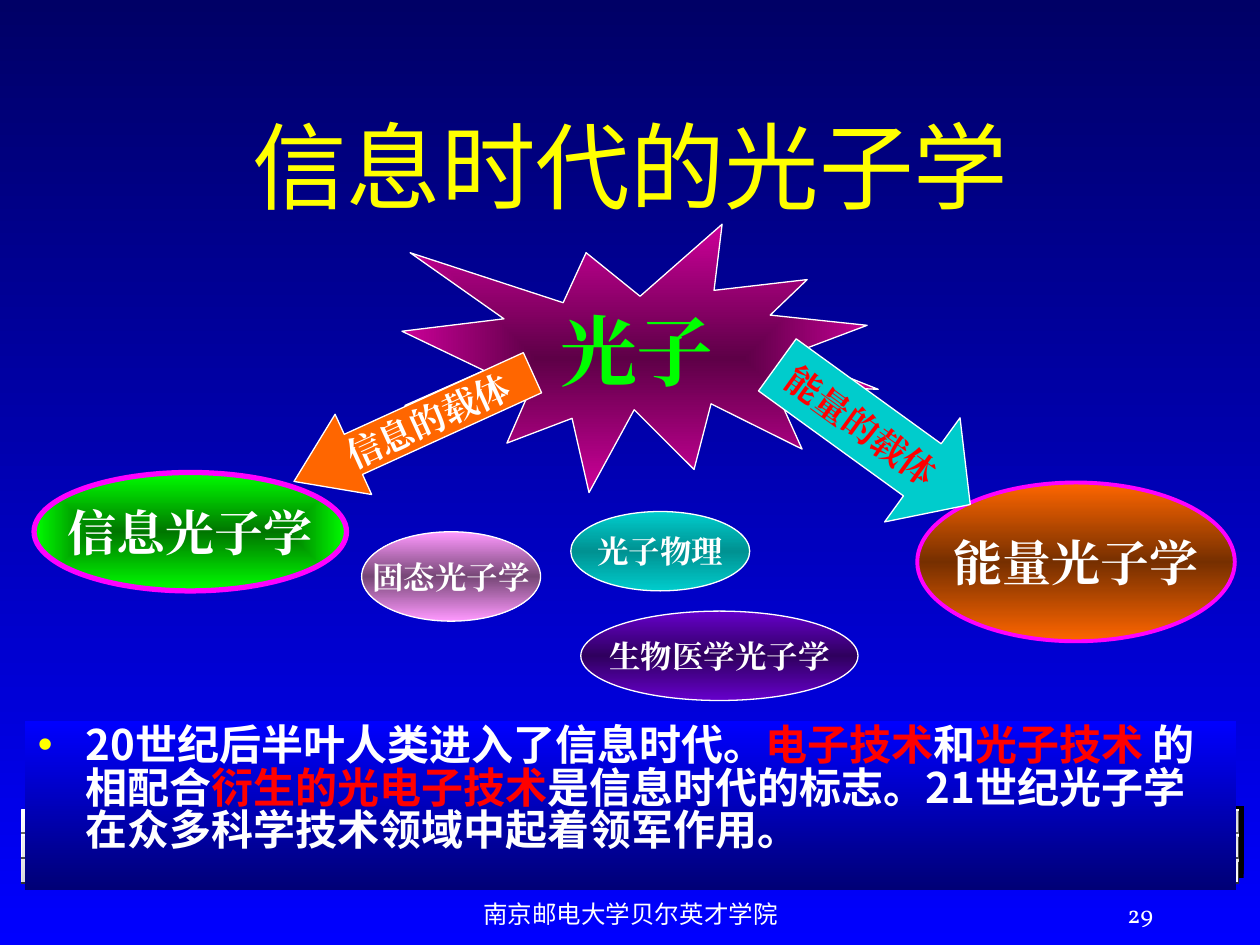
from dataclasses import dataclass

from lxml import etree
from pptx import Presentation
from pptx import util as u
from pptx.dml.color import RGBColor
from pptx.enum import shapes, text
from pptx.oxml import parse_xml
from pptx.oxml.ns import nsdecls, qn

EMU_PER_PX = 9144  # 100 px to the inch
SHAPE = shapes.MSO_SHAPE
ALIGN = text.PP_ALIGN


@dataclass(frozen=True)
class Theme:
    white: str = "FFFFFF"
    yellow: str = "FFFF00"
    red: str = "FF0000"
    green: str = "00FF00"
    magenta: str = "FF00FF"
    orange: str = "FF6600"
    teal: str = "00CCCC"
    navy: str = "000076"
    blue: str = "0000FF"
    title_font: str = "Noto Sans CJK JP"
    body_font: str = "Noto Sans CJK SC"
    label_font: str = "Times New Roman"
    footer_font: str = "Vollkorn"
    title_size: int = 54
    star_size: int = 44
    branch_size: int = 28
    body_size: int = 24
    arrow_size: int = 20
    field_size: int = 18
    footer_size: int = 14


def px(value):
    return u.Emu(value * EMU_PER_PX)


def mirrored(edge, middle):
    return [(0, edge), (50, middle), (100, edge)]


class SlideBuilder:
    def __init__(self, slide, theme):
        self.slide, self.theme = slide, theme

    def gradient(self, fill, properties, stops, angle=None):
        """Linear at the given angle, or from the centre out without one."""
        fill.gradient()
        stop_xml = "".join(
            f'<a:gs pos="{place * 1000}"><a:srgbClr val="{color}"/></a:gs>'
            for place, color in stops)
        if angle is None:
            direction = ('<a:path path="shape"><a:fillToRect l="50000" t="50000" '
                         'r="50000" b="50000"/></a:path>')
        else:
            direction = f'<a:lin ang="{angle * 60000}" scaled="0"/>'
        properties.replace(properties.find(qn("a:gradFill")), parse_xml(
            f'<a:gradFill {nsdecls("a")} rotWithShape="1">'
            f"<a:gsLst>{stop_xml}</a:gsLst>{direction}</a:gradFill>"))

    def background(self, stops):
        self.gradient(self.slide.background.fill,
                      self.slide.element.find(".//" + qn("p:bgPr")), stops, 90)

    def style(self, run, font, size, color, bold=False):
        run.font.name, run.font.size, run.font.bold = font, u.Pt(size), bold
        run.font.color.rgb = RGBColor.from_string(color)
        latin = run._r.find(qn("a:rPr")).find(qn("a:latin"))
        latin.addnext(etree.Element(qn("a:ea"), typeface=font))

    def set_text(self, shape, words, font, size, color, bold=False,
                 align=ALIGN.CENTER, wrap=True):
        frame = shape.text_frame
        frame.text = words
        frame.word_wrap = wrap
        frame.auto_size = text.MSO_AUTO_SIZE.NONE
        frame.vertical_anchor = text.MSO_ANCHOR.MIDDLE
        frame.paragraphs[0].alignment = align
        self.style(frame.paragraphs[0].runs[0], font, size, color, bold)

    def place(self, placeholder, box):
        """Move a placeholder to its box and to the front."""
        placeholder.left, placeholder.top, placeholder.width, placeholder.height = map(px, box)
        placeholder.element.getparent().append(placeholder.element)

    def title(self, box, words):
        title = self.slide.shapes.title
        self.place(title, box)
        self.set_text(title, words, self.theme.title_font,
                      self.theme.title_size, self.theme.yellow)

    def bullet(self, box, pieces, stops):
        body = self.slide.placeholders[1]
        self.place(body, box)
        self.gradient(body.fill, body.element.spPr, stops, 90)
        frame = body.text_frame
        frame.auto_size = text.MSO_AUTO_SIZE.NONE
        frame.vertical_anchor = text.MSO_ANCHOR.TOP
        paragraph = frame.paragraphs[0]
        paragraph.alignment = ALIGN.LEFT
        paragraph.space_before = u.Pt(0)
        paragraph.line_spacing = 0.84
        properties = paragraph._p.get_or_add_pPr()
        properties.set("marL", str(px(38)))
        properties.set("indent", str(px(-38)))
        bullet_color = etree.SubElement(properties, qn("a:buClr"))
        etree.SubElement(bullet_color, qn("a:srgbClr"), val=self.theme.yellow)
        etree.SubElement(properties, qn("a:buChar"), char="•")
        for words, color in pieces:
            run = paragraph.add_run()
            run.text = words
            self.style(run, self.theme.body_font, self.theme.body_size, color, True)

    def shape(self, kind, box, fill, line=None, line_width=0.75, angle=None,
              rotation=0, adjustments=()):
        shape = self.slide.shapes.add_shape(kind, *map(px, box))
        shape.shadow.inherit = False
        shape.rotation = rotation
        for index, value in enumerate(adjustments):
            shape.adjustments[index] = value
        if isinstance(fill, str):
            shape.fill.solid()
            shape.fill.fore_color.rgb = RGBColor.from_string(fill)
        else:
            self.gradient(shape.fill, shape.element.spPr, fill, angle)
        if line:
            shape.line.color.rgb = RGBColor.from_string(line)
            shape.line.width = u.Pt(line_width)
        else:
            shape.line.fill.background()
        return shape

    def label(self, kind, box, words, size, fill, color=None, line=None, **options):
        shape = self.shape(kind, box, fill, line or self.theme.white, **options)
        self.set_text(shape, words, self.theme.label_font, size,
                      color or self.theme.white, True, wrap=False)

    def hard_shadow(self, shape):
        effects = shape.element.spPr.find(qn("a:effectLst"))
        effects.append(parse_xml(
            f'<a:outerShdw {nsdecls("a")} blurRad="0" dist="53340" dir="18900000" '
            'algn="ctr" rotWithShape="0"><a:srgbClr val="000000"/></a:outerShdw>'))

    def polyline(self, points, color):
        builder = self.slide.shapes.build_freeform(*points[0], scale=EMU_PER_PX)
        builder.add_line_segments(points[1:], close=False)
        line = builder.convert_to_shape()
        line.shadow.inherit = False
        line.fill.background()
        line.line.color.rgb = RGBColor.from_string(color)
        line.line.width = u.Pt(1)

    def footer(self, box, words, align):
        self.set_text(self.slide.shapes.add_textbox(*map(px, box)), words,
                      self.theme.footer_font, self.theme.footer_size,
                      self.theme.white, align=align)


def main():
    presentation = Presentation()
    presentation.slide_width, presentation.slide_height = px(1000), px(750)
    theme = Theme()
    slide = SlideBuilder(
        presentation.slides.add_slide(presentation.slide_layouts[1]), theme)
    slide.background([(0, "000066"), (100, theme.blue)])

    # Metal bar with three bevelled rows
    half = [(0, "FFFFFF"), (4, "E6E6E6"), (16, "7D8496"),
            (24, "E6E6E6"), (42, "7D8496")]
    metal = half + [(50, "E6E6E6")] + [(100 - place, color) for place, color in reversed(half)]
    slide.hard_shadow(slide.shape(SHAPE.RECTANGLE, (17, 644, 966, 57), metal, angle=45))
    left, right = 17, 983
    for row, color in enumerate(("FFFFFF", "FFFFFF", "E8E8E8")):
        top = 643 + 20 * row
        slide.polyline([(left, top + 17), (left, top), (right, top)], color)
    for row, color in enumerate(("676767", "474747", "333333")):
        top = 644 + 20 * row
        slide.polyline([(right, top), (right, top + 17), (left, top + 17)], color)

    # Title and summary
    slide.footer((717, 700, 208, 50), "29", ALIGN.RIGHT)
    slide.title((75, 68, 850, 125), "信息时代的光子学")
    slide.bullet((20, 572, 961, 134), [
        ("20世纪后半叶人类进入了信息时代。", theme.white),
        ("电子技术", theme.red),
        ("和", theme.white),
        ("光子技术", theme.red),
        (" 的相配合", theme.white),
        ("衍生的光电子技术", theme.red),
        ("是信息时代的标志。21世纪光子学在众多科学技术领域中起着领军作用。", theme.white),
    ], [(0, theme.blue), (100, theme.navy)])

    # Photon and its two branches
    slide.label(SHAPE.EXPLOSION1, (319, 178, 378, 213), "光子", theme.star_size,
                [(0, "5E0047"), (100, "CC0099")], theme.green)
    slide.label(SHAPE.OVAL, (27, 375, 248, 94), "信息光子学", theme.branch_size,
                [(0, "007600"), (100, theme.green)], line=theme.magenta, line_width=3)
    slide.label(SHAPE.OVAL, (728, 383, 252, 126), "能量光子学", theme.branch_size,
                mirrored(theme.orange, "762F00"), line=theme.magenta,
                line_width=2.25, angle=90)
    slide.label(SHAPE.RIGHT_ARROW, (599, 294, 189, 102), "能量的载体", theme.arrow_size,
                theme.teal, theme.red, rotation=35.9, adjustments=(0.5, 0.46))
    slide.label(SHAPE.LEFT_ARROW, (224, 304, 208, 70), "信息的载体", theme.arrow_size,
                theme.orange, rotation=335.5, adjustments=(0.5, 0.74))

    # Related fields
    for box, words, edge, middle in (
            ((287, 422, 142, 71), "固态光子学", "FF99FF", "764776"),
            ((461, 485, 220, 71), "生物医学光子学", "6600CC", "2F005E"),
            ((453, 406, 142, 63), "光子物理", theme.teal, "009292")):
        slide.label(SHAPE.OVAL, box, words, theme.field_size,
                    mirrored(edge, middle), angle=90)

    slide.footer((342, 700, 317, 50), "南京邮电大学贝尔英才学院", ALIGN.CENTER)
    presentation.save("out.pptx")


if __name__ == "__main__":
    main()
